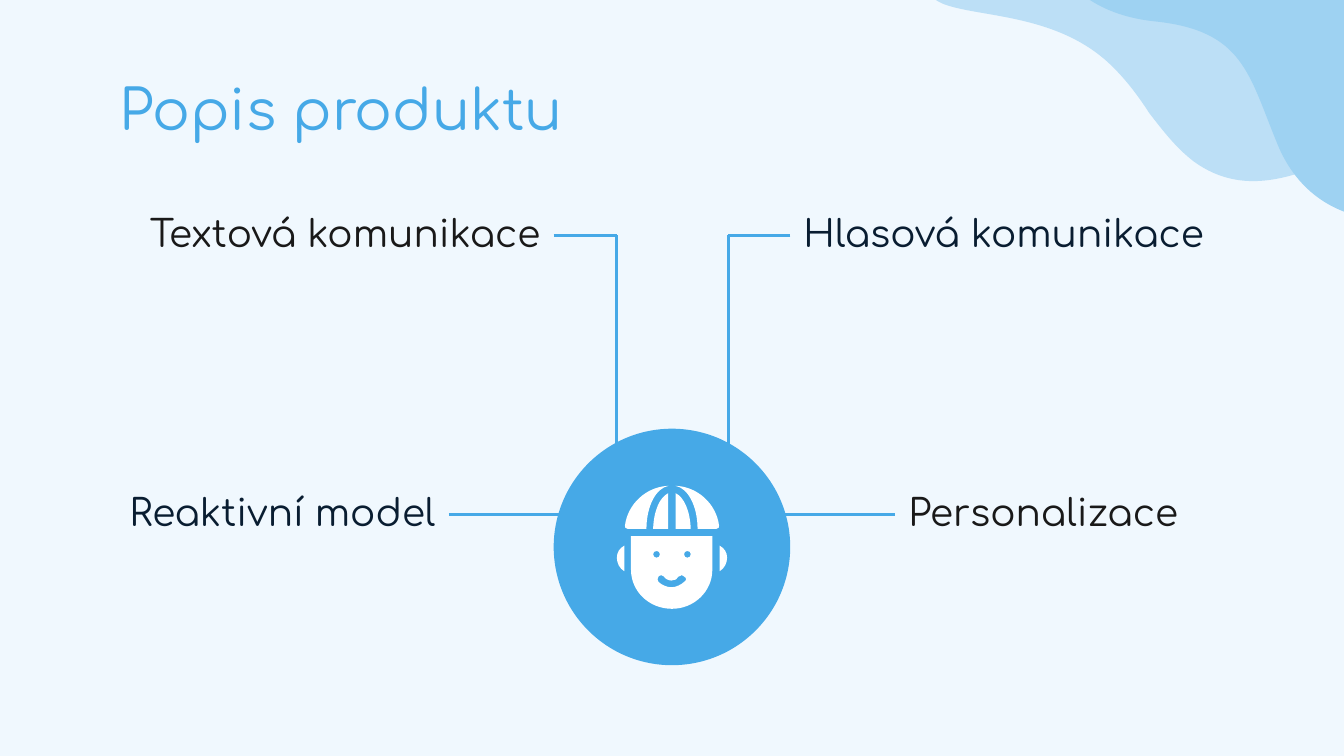
"""Build a product description slide: four features around a helmeted face."""
from pptx import Presentation
from pptx.dml.color import RGBColor
from pptx.enum.shapes import MSO_CONNECTOR, MSO_SHAPE
from pptx.enum.text import MSO_ANCHOR, MSO_AUTO_SIZE, PP_ALIGN
from pptx.oxml.ns import qn
from pptx.util import Inches, Pt
from lxml import etree

LEFT, RIGHT = PP_ALIGN.LEFT, PP_ALIGN.RIGHT
TOP, MIDDLE = MSO_ANCHOR.TOP, MSO_ANCHOR.MIDDLE
NONE = MSO_AUTO_SIZE.NONE
STRAIGHT = MSO_CONNECTOR.STRAIGHT
OVAL = MSO_SHAPE.OVAL

BLUE = RGBColor(0x46, 0xA9, 0xE7)
PALE = RGBColor(0xBC, 0xDF, 0xF6)
SKY = RGBColor(0x9E, 0xD2, 0xF2)
PAPER = RGBColor(0xF0, 0xF8, 0xFE)
WHITE = RGBColor(0xFF, 0xFF, 0xFF)
BLACK = RGBColor(0x19, 0x19, 0x19)
NAVY = RGBColor(0x09, 0x1D, 0x31)

FONT = "Comfortaa"
CELL = Inches(0.1)
COLS, ROWS = 100, 56.25
MID = COLS / 2

TITLE = ("Popis produktu", (7.9, 4.9, 84.3, 6.3))
LABELS = {
    "text": ("Textová komunikace", (7.9, 14.65, 33.3, 5.7), RIGHT, BLACK),
    "model": ("Reaktivní model", (7.9, 35.4, 25.5, 5.8), RIGHT, NAVY),
    "voice": ("Hlasová komunikace", (58.8, 14.65, 34.2, 5.7), LEFT, NAVY),
    "person": ("Personalizace", (66.6, 35.4, 25.6, 5.8), LEFT, BLACK),
}
DISC = (41.2, 31.9, 17.6, 17.6)
BENDS = (("text", 3, 45.9), ("voice", 1, 54.2))
BEND_TOP, BEND_END = 17.5, 34.2

WAVES = (
    (PALE, [(66.2, -4.4), (66.6, -3.2, 68.1, -0.6, 70.2, 0.3),
            (72.8, 1.3, 78.4, 1, 82.4, 4.6), (83.6, 5.7, 84.6, 7, 85.5, 8.4),
            (86.5, 9.7, 87.5, 11, 88.8, 12), (93.6, 15.5, 98.6, 11.9, 103.3, 10.2),
            (106.1, 9.2, 108.8, 9, 111.5, 10.2), (113.9, 11.3, 114.8, 13.1, 115.7, 15.3),
            (116, -2.3)]),
    (SKY, [(102.5, -6.8), (77.4, -6.8), (77.5, -2.9, 80, 1, 86, 1.6),
           (92.5, 2.3, 92.9, 5.5, 95, 10.6), (96.9, 15.4, 100.9, 16.2, 102.5, 16.3)]),
)
HALVES = (
    [(49.75, 36.15), (48.1, 36.2, 46.7, 37.5, 46.5, 39.1),
     (46.4, 39.2, 46.6, 39.35, 46.7, 39.35), (48.1, 39.35),
     (48.1, 37.7, 48.8, 36.3, 49.75, 36.15)],
    [(49.72, 36.7), (49.1, 37, 48.65, 38, 48.6, 39.35), (49.72, 39.35)],
    [(46.45, 40.6), (46.1, 40.8, 45.9, 41.1, 45.9, 41.5),
     (45.9, 41.9, 46.1, 42.3, 46.45, 42.5)],
)
HEAD = [(46.95, 39.9), (46.95, 42.4), (46.95, 44, 48.3, 45.3, MID, 45.3),
        (51.65, 45.3, 53, 44, 53, 42.4), (53, 39.9)]
EYE = [(48.86, 41), (49, 41, 49.1, 41.1, 49.1, 41.24), (49.1, 41.4, 49, 41.5, 48.86, 41.5),
       (48.7, 41.5, 48.6, 41.4, 48.6, 41.24), (48.6, 41.1, 48.7, 41, 48.86, 41)]
SMILE = [(50.7, 42.8), (50.8, 42.8, 50.9, 42.9, 50.9, 42.9),
         (51.1, 43, 51.1, 43.2, 50.9, 43.3), (50.7, 43.5, 50.3, 43.7, 49.95, 43.7),
         (49.6, 43.7, 49.2, 43.5, 49, 43.3), (48.9, 43.2, 48.9, 43, 49, 42.9),
         (49, 42.9, 49.1, 42.8, 49.2, 42.8), (49.3, 42.8, 49.3, 42.9, 49.4, 42.9),
         (49.5, 43.1, 49.8, 43.2, 49.95, 43.2), (50.2, 43.2, 50.4, 43.1, 50.5, 42.9),
         (50.6, 42.9, 50.7, 42.8, 50.7, 42.8)]


def scale(*cells):
    return [round(cell * CELL) for cell in cells]


def assign(item, **values):
    for name, value in values.items():
        setattr(item, name, value)


def flip(path):
    return [tuple(2 * MID - n if i % 2 == 0 else n for i, n in enumerate(step))
            for step in path]


def spread(path):
    return [scale(*step[i:i + 2]) for step in path for i in range(0, len(step), 2)]


def paint(shape, color):
    shape.shadow.inherit = False
    shape.fill.solid()
    shape.fill.fore_color.rgb = color
    shape.line.fill.background()


def outline(shapes, color, *paths):
    pen = None
    for path in paths:
        start, *dots = spread(path)
        if pen:
            pen.move_to(*start)
        else:
            pen = shapes.build_freeform(*start, scale=1.0)
        pen.add_line_segments(dots, close=True)
    shape = pen.convert_to_shape()
    lines = iter(list(shape.element.iter(qn("a:lnTo"))))
    for step in (step for path in paths for step in path[1:]):
        group = [next(lines) for _ in range(len(step) // 2)]
        if len(group) == 3:
            curve = etree.Element(qn("a:cubicBezTo"))
            group[0].addprevious(curve)
            for line in group:
                curve.append(line[0])
                line.getparent().remove(line)
    paint(shape, color)


def write(shape, text, box, size, color, align=LEFT, anchor=TOP):
    assign(shape, **dict(zip(("left", "top", "width", "height"), scale(*box))))
    frame, inset = shape.text_frame, Inches(0.1)
    assign(frame, text=text, word_wrap=True, auto_size=NONE, vertical_anchor=anchor,
           margin_left=inset, margin_right=inset, margin_top=inset, margin_bottom=inset)
    line = frame.paragraphs[0]
    line.alignment = align
    assign(line.runs[0].font, name=FONT, size=Pt(size))
    line.runs[0].font.color.rgb = color


def link(shapes, start, end):
    wire = shapes.add_connector(STRAIGHT, *scale(*start, *end))
    wire.line.color.rgb = BLUE
    wire.line.width = Pt(1.5)
    etree.SubElement(wire.element.spPr, qn("a:effectLst"))
    return wire


def main():
    deck = Presentation()
    deck.slide_width, deck.slide_height = scale(COLS, ROWS)
    slide = deck.slides.add_slide(deck.slide_layouts[5])
    shapes = slide.shapes
    slide.background.fill.solid()
    slide.background.fill.fore_color.rgb = PAPER
    for color, path in WAVES:
        outline(shapes, color, path)
    write(shapes.title, *TITLE, 30, BLUE, anchor=MIDDLE)
    boxes = {}
    for key, (text, box, align, color) in LABELS.items():
        boxes[key] = shapes.add_textbox(*scale(*box))
        write(boxes[key], text, box, 20, color, align)
    wire = link(shapes, (33.4, 38.3), (66.6, 38.3))
    wire.begin_connect(boxes["model"], 3)
    wire.end_connect(boxes["person"], 1)
    paint(shapes.add_shape(OVAL, *scale(*DISC)), BLUE)
    for key, side, col in BENDS:
        left, _, width, _ = LABELS[key][1]
        edge = left + width if side == 3 else left
        wire = link(shapes, (edge, BEND_TOP), (col, BEND_TOP))
        wire.begin_connect(boxes[key], side)
    for _, _, col in BENDS:
        link(shapes, (col, BEND_TOP), (col, BEND_END))
    face = shapes.add_group_shape().shapes
    for path in HALVES:
        outline(face, WHITE, path)
        outline(face, WHITE, flip(path))
    outline(face, WHITE, HEAD, EYE, flip(EYE), SMILE)
    deck.save("out.pptx")


if __name__ == "__main__":
    main()
